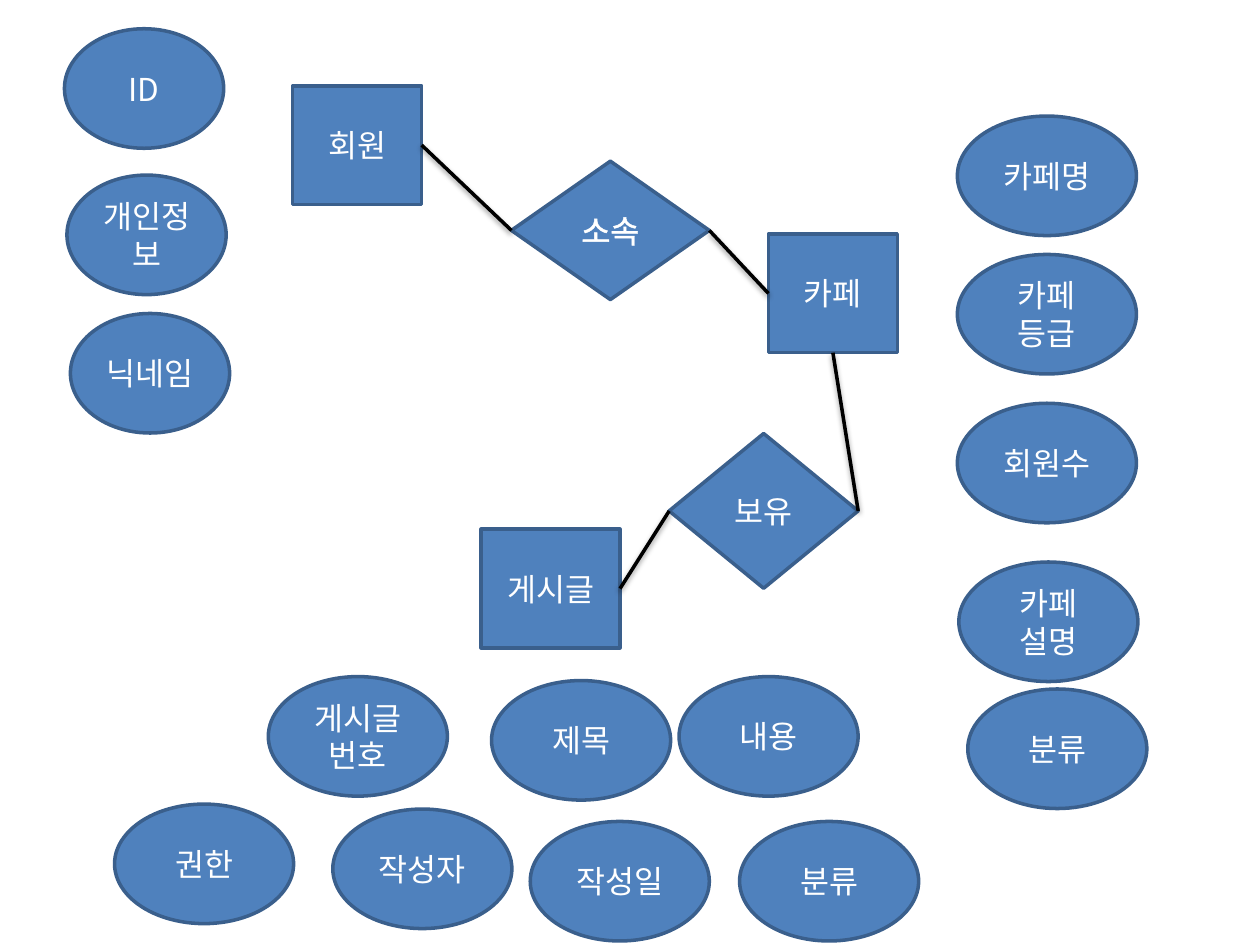
from dataclasses import dataclass

from pptx import Presentation, oxml, util as u
from pptx.dml import color
from pptx.enum import shapes, text
from pptx.oxml import ns


@dataclass(frozen=True)
class Theme:
    fill: str = "4F81BD"
    border: str = "3A5F8C"
    label: str = "FFFFFF"
    link: str = "000000"
    font: str = "Noto Sans CJK KR"
    size: float = 18
    line: float = 2
    label_outline: float = 1.45


@dataclass(frozen=True)
class Node:
    label: str
    left: float
    top: float
    width: float
    height: float
    kind: shapes.MSO_SHAPE
    outlined: bool = False


@dataclass(frozen=True)
class Link:
    start: str
    start_site: int
    end: str
    end_site: int


THEME = Theme()
LEFT, BOTTOM, RIGHT = 1, 2, 3
ENTITY_HEIGHT = 2.39
ATTRIBUTE_HEIGHT = 2.41
MEMBER_WIDTH, WIDE_WIDTH = 3.21, 3.61

ENTITIES = [
    Node(label, left, top, width, ENTITY_HEIGHT, shapes.MSO_SHAPE.RECTANGLE)
    for label, left, top, width in [
        ("회원", 5.9, 1.73, 2.6),
        ("카페", 15.49, 4.72, 2.6),
        ("게시글", 9.7, 10.67, 2.8),
    ]
]
RELATIONSHIPS = [
    Node("소속", 10.31, 3.25, 3.99, 2.79, shapes.MSO_SHAPE.DIAMOND, outlined=True),
    Node("보유", 13.49, 8.74, 3.81, 3.12, shapes.MSO_SHAPE.DIAMOND),
]
MEMBER_ATTRIBUTES = [("ID", 1.3, 0.58), ("개인정보", 1.35, 3.53), ("닉네임", 1.42, 6.32)]
CAFE_ATTRIBUTES = [
    ("카페명", 19.3, 2.34),
    ("카페 등급", 19.3, 5.13),
    ("회원수", 19.3, 8.13),
    ("카페 설명", 19.33, 11.33),
    ("분류", 19.51, 13.89),
]
POST_ATTRIBUTES = [
    ("게시글 번호", 5.41, 13.64),
    ("제목", 9.91, 13.72),
    ("내용", 13.69, 13.64),
    ("작성자", 6.71, 16.31),
    ("작성일", 10.69, 16.56),
    ("분류", 14.91, 16.56),
    ("권한", 2.31, 16.21),
]
ATTRIBUTES = [
    Node(label, left, top, width, ATTRIBUTE_HEIGHT, shapes.MSO_SHAPE.OVAL)
    for width, group in [
        (MEMBER_WIDTH, MEMBER_ATTRIBUTES),
        (WIDE_WIDTH, CAFE_ATTRIBUTES + POST_ATTRIBUTES),
    ]
    for label, left, top in group
]
LINKS = [
    Link("회원", RIGHT, "소속", LEFT),
    Link("소속", RIGHT, "카페", LEFT),
    Link("카페", BOTTOM, "보유", RIGHT),
    Link("보유", LEFT, "게시글", RIGHT),
]


def rgb(value: str) -> color.RGBColor:
    return color.RGBColor.from_string(value)


def style_label(run, outlined: bool) -> None:
    run.font.name = THEME.font
    run.font.size = u.Pt(THEME.size)
    run.font.color.rgb = rgb(THEME.label)
    properties = run.font._element
    east_asian = oxml.parse_xml(f'<a:ea {ns.nsdecls("a")} typeface="{THEME.font}"/>')
    properties.find(ns.qn("a:latin")).addnext(east_asian)
    if outlined:
        properties.insert(0, oxml.parse_xml(
            f'<a:ln {ns.nsdecls("a")} w="{u.Pt(THEME.label_outline)}"><a:solidFill>'
            f'<a:srgbClr val="{THEME.label}"/></a:solidFill></a:ln>'
        ))


def draw_node(slide, node: Node):
    shape = slide.shapes.add_shape(
        node.kind, u.Cm(node.left), u.Cm(node.top), u.Cm(node.width), u.Cm(node.height)
    )
    shape.shadow.inherit = False
    shape.fill.solid()
    shape.fill.fore_color.rgb = rgb(THEME.fill)
    shape.line.color.rgb = rgb(THEME.border)
    shape.line.width = u.Pt(THEME.line)
    frame = shape.text_frame
    frame.text = node.label
    frame.word_wrap = True
    frame.vertical_anchor = text.MSO_ANCHOR.MIDDLE
    paragraph = frame.paragraphs[0]
    paragraph.alignment = text.PP_ALIGN.CENTER
    style_label(paragraph.runs[0], node.outlined)
    return shape


def draw_link(slide, link: Link, drawn: dict) -> None:
    connector = slide.shapes.add_connector(shapes.MSO_CONNECTOR.STRAIGHT, 0, 0, 0, 0)
    connector.begin_connect(drawn[link.start], link.start_site)
    connector.end_connect(drawn[link.end], link.end_site)
    connector.line.color.rgb = rgb(THEME.link)
    connector.line.width = u.Pt(THEME.line)
    connector._element.spPr.append(oxml.parse_xml(
        f'<a:effectLst {ns.nsdecls("a")}><a:outerShdw blurRad="{u.Pt(3.1)}" '
        f'dist="{u.Pt(1.6)}" dir="5400000" rotWithShape="0">'
        f'<a:srgbClr val="{THEME.link}"><a:alpha val="38000"/></a:srgbClr>'
        '</a:outerShdw></a:effectLst>'
    ))


def main() -> None:
    deck = Presentation()
    deck.slide_width, deck.slide_height = u.Cm(25.4), u.Cm(19.05)
    slide = deck.slides.add_slide(deck.slide_layouts[6])
    drawn = {node.label: draw_node(slide, node) for node in ENTITIES + RELATIONSHIPS}
    for attribute in ATTRIBUTES:
        draw_node(slide, attribute)
    for link in LINKS:
        draw_link(slide, link, drawn)
    deck.save("out.pptx")


if __name__ == "__main__":
    main()
